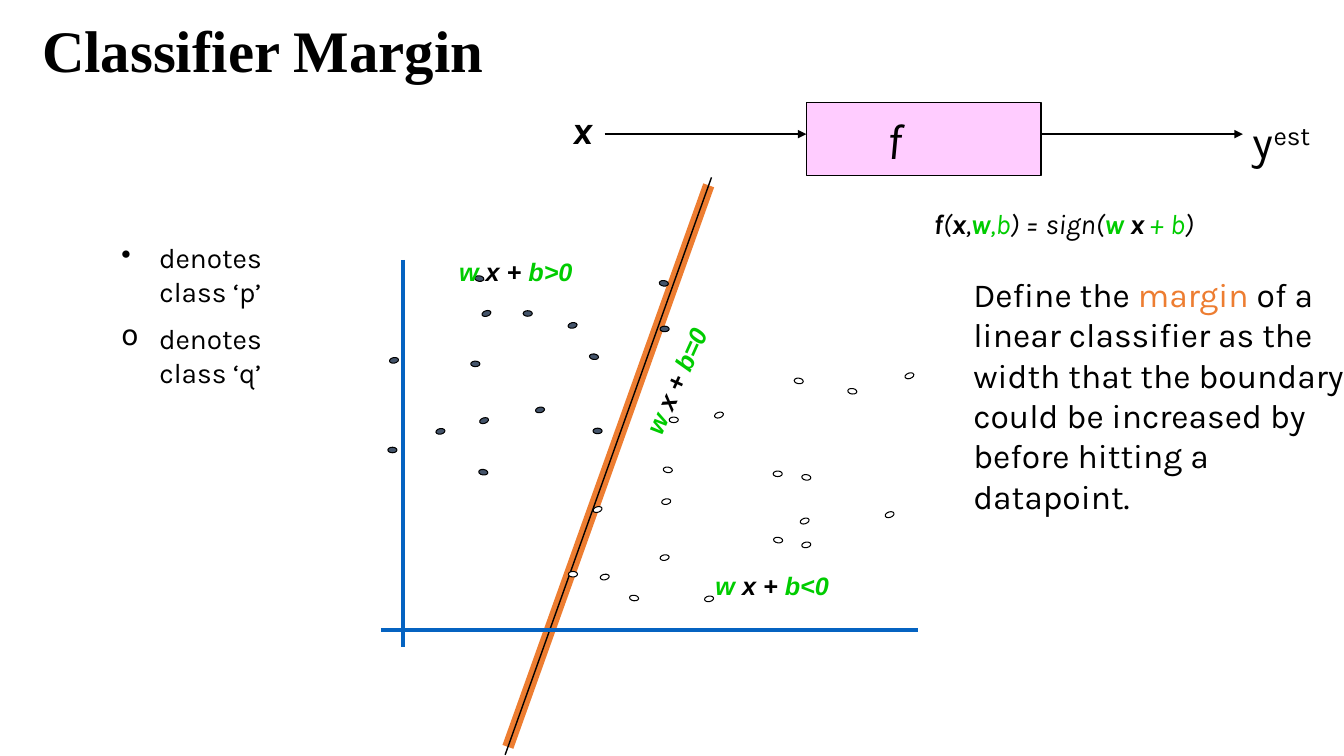
from dataclasses import dataclass
from typing import Optional

from lxml.etree import SubElement as Sub
from pptx import Presentation
from pptx.dml.color import RGBColor
from pptx.enum.shapes import MSO_CONNECTOR as Link, MSO_SHAPE as Kind
from pptx.enum.text import MSO_ANCHOR as Anchor, PP_ALIGN as Align
from pptx.oxml.ns import qn
from pptx.util import Cm, Pt

BLACK, WHITE, GREEN = "000000", "FFFFFF", "00CC00"
ORANGE, BLUE, SLATE, PINK = "ED7D31", "0563C1", "44546A", "FFCCFF"


@dataclass
class Run:
    text: str
    hue: str = BLACK
    bold: Optional[bool] = None
    base: int = 0


@dataclass
class Text:
    lines: list[list[Run]]
    size: int
    font: str = "Karla"
    bold: bool = False
    slant: bool = False
    align: Align = Align.LEFT
    marks: str = ""


@dataclass
class Box:
    left: float
    top: float
    width: float
    height: float
    text: Text
    anchor: Anchor = Anchor.TOP
    wrap: bool = True
    turn: float = 0


@dataclass
class Line:
    start: tuple[float, float]
    end: tuple[float, float]
    hue: str
    width: float
    arrow: bool = False


@dataclass
class Dots:
    fill: str
    tilt: float
    spots: list[tuple[float, float]]


def color(code: str) -> RGBColor:
    return RGBColor.from_string(code)


def paint(shape, fill: str, width: float) -> None:
    shape.shadow.inherit = False
    shape.fill.solid()
    shape.fill.fore_color.rgb = color(fill)
    shape.line.color.rgb = color(BLACK)
    shape.line.width = Pt(width)


def bullet(para, mark: str) -> None:
    props = para._p.get_or_add_pPr()
    props.set("marL", str(Cm(0.95)))
    props.set("indent", str(Cm(-0.95)))
    tint = Sub(props, qn("a:buClr"))
    Sub(tint, qn("a:srgbClr"), val=BLACK)
    Sub(props, qn("a:buChar"), char=mark)


def write(frame, text: Text) -> None:
    for pos, runs in enumerate(text.lines):
        para = frame.add_paragraph() if pos else frame.paragraphs[0]
        para.alignment = text.align
        if pos:
            para.space_before = Pt(text.size / 2)
        if text.marks:
            bullet(para, text.marks[pos])
        font = para.font
        font.name, font.size = text.font, Pt(text.size)
        font.bold, font.italic = text.bold, text.slant
        for item in runs:
            run = para.add_run()
            run.text = item.text
            run.font.color.rgb = color(item.hue)
            if item.bold is not None:
                run.font.bold = item.bold
            if item.base:
                run._r.get_or_add_rPr().set("baseline", str(item.base * 1000))


def add_box(slide, box: Box) -> None:
    shape = slide.shapes.add_textbox(
        Cm(box.left), Cm(box.top), Cm(box.width), Cm(box.height))
    shape.rotation = box.turn
    frame = shape.text_frame
    frame.word_wrap = box.wrap
    frame.vertical_anchor = box.anchor
    write(frame, box.text)


def add_line(slide, line: Line) -> None:
    link = slide.shapes.add_connector(
        Link.STRAIGHT, *map(Cm, line.start + line.end))
    link.line.color.rgb = color(line.hue)
    link.line.width = Pt(line.width)
    if line.arrow:
        Sub(link.line._get_or_add_ln(), qn("a:tailEnd"), type="triangle")
    Sub(link._element.spPr, qn("a:effectLst"))


def add_dots(slide, dots: Dots) -> None:
    wide, high = 0.23, 0.14
    for x, y in dots.spots:
        dot = slide.shapes.add_shape(
            Kind.OVAL, Cm(x - wide / 2), Cm(y - high / 2), Cm(wide), Cm(high))
        dot.rotation = dots.tilt
        paint(dot, dots.fill, 0.75)


def add_block(slide) -> None:
    block = slide.shapes.add_shape(
        Kind.RECTANGLE, Cm(20.32), Cm(2.59), Cm(5.92), Cm(1.83))
    paint(block, PINK, 1)
    frame = block.text_frame
    frame.margin_right = Cm(1.75)
    frame.vertical_anchor = Anchor.MIDDLE
    write(frame, Text([[Run("f")]], 36, slant=True, align=Align.CENTER))


def label(left: float, top: float, width: float, height: float,
          sign: str, turn: float = 0) -> Box:
    runs = [Run("w", GREEN), Run(" x + "), Run(f"b{sign}0", GREEN)]
    text = Text([runs], 18, "Arial", True, True, Align.CENTER)
    return Box(left, top, width, height, text, Anchor.MIDDLE, False, turn)


LINES = [
    Line((12.8, 18.82), (17.86, 4.67), ORANGE, 8.25),
    Line((12.73, 19.02), (17.93, 4.47), BLACK, 1),
    Line((15.24, 3.38), (20.32, 3.38), BLACK, 1, True),
    Line((26.24, 3.38), (31.32, 3.38), BLACK, 1, True),
    Line((10.16, 6.55), (10.16, 16.31), BLUE, 3),
    Line((9.6, 15.88), (23.14, 15.88), BLUE, 3),
]

DOTS = [
    Dots(SLATE, 0, [(9.89, 11.34), (16.75, 8.29), (13.3, 7.9),
                    (15.06, 10.86), (11.98, 9.17)]),
    Dots(SLATE, 341.4, [(12.26, 7.9), (12.2, 10.6)]),
    Dots(SLATE, 8.3, [(14.97, 8.99), (12.18, 11.9), (16.73, 7.14),
                      (12.08, 7.02)]),
    Dots(SLATE, 349.6, [(13.61, 10.33), (11.1, 10.87), (14.43, 8.2),
                        (9.93, 9.08)]),
    Dots(WHITE, 0, [(14.44, 14.47), (16.98, 10.58), (19.6, 11.94)]),
    Dots(WHITE, 341.4, [(15.06, 12.84), (22.92, 9.47), (20.28, 13.13),
                        (18.12, 10.46), (22.42, 12.97)]),
    Dots(WHITE, 8.3, [(15.98, 15.07), (20.32, 12.03), (16.83, 11.84),
                      (21.48, 9.86), (20.13, 9.6), (19.61, 13.61)]),
    Dots(WHITE, 349.6, [(17.87, 15.09), (16.75, 14.05), (16.79, 12.64),
                        (15.24, 14.54), (20.32, 13.73)]),
]

RULE = [
    Run("f", bold=True), Run("("), Run("x", bold=True), Run(","),
    Run("w", GREEN, True), Run(",b", GREEN), Run(") = sign("),
    Run("w", GREEN, True), Run(" x", bold=True), Run(" + b", GREEN), Run(")"),
]
MARGIN = [
    Run("Define the "), Run("margin", ORANGE),
    Run(" of a linear classifier as the width that the boundary "
        "could be increased by before hitting a datapoint."),
]
KEY = [[Run(f"denotes class ‘{name}’")] for name in "pq"]

BOXES = [
    Box(0.81, 0.36, 17.22, 1.9,
        Text([[Run("Classifier Margin")]], 42, "Times New Roman", True),
        Anchor.BOTTOM),
    Box(13.54, 2.54, 2.26, 1.45,
        Text([[Run("x")]], 28, bold=True, slant=True, align=Align.CENTER)),
    Box(31.32, 2.74, 3.1, 1.6,
        Text([[Run("y"), Run("est", base=30)]], 32)),
    Box(20.88, 5.08, 11.86, 1.09,
        Text([RULE], 20, slant=True, align=Align.CENTER)),
    Box(24.28, 6.78, 10.16, 5.38, Text([MARGIN], 24)),
    Box(2.06, 5.94, 5.54, 4.11,
        Text(KEY, 20, align=Align.CENTER, marks="•o")),
    label(8.48, 6.43, 9.04, 0.84, ">"),
    label(13.64, 9.04, 6.78, 1.12, "=", 294.3),
    label(14.94, 14.33, 9.04, 0.84, "<"),
]


def main() -> None:
    deck = Presentation()
    deck.slide_width, deck.slide_height = Cm(33.87), Cm(19.05)
    slide = deck.slides.add_slide(deck.slide_layouts[6])
    add_block(slide)
    for line in LINES:
        add_line(slide, line)
    for dots in DOTS:
        add_dots(slide, dots)
    for box in BOXES:
        add_box(slide, box)
    deck.save("out.pptx")


if __name__ == "__main__":
    main()
